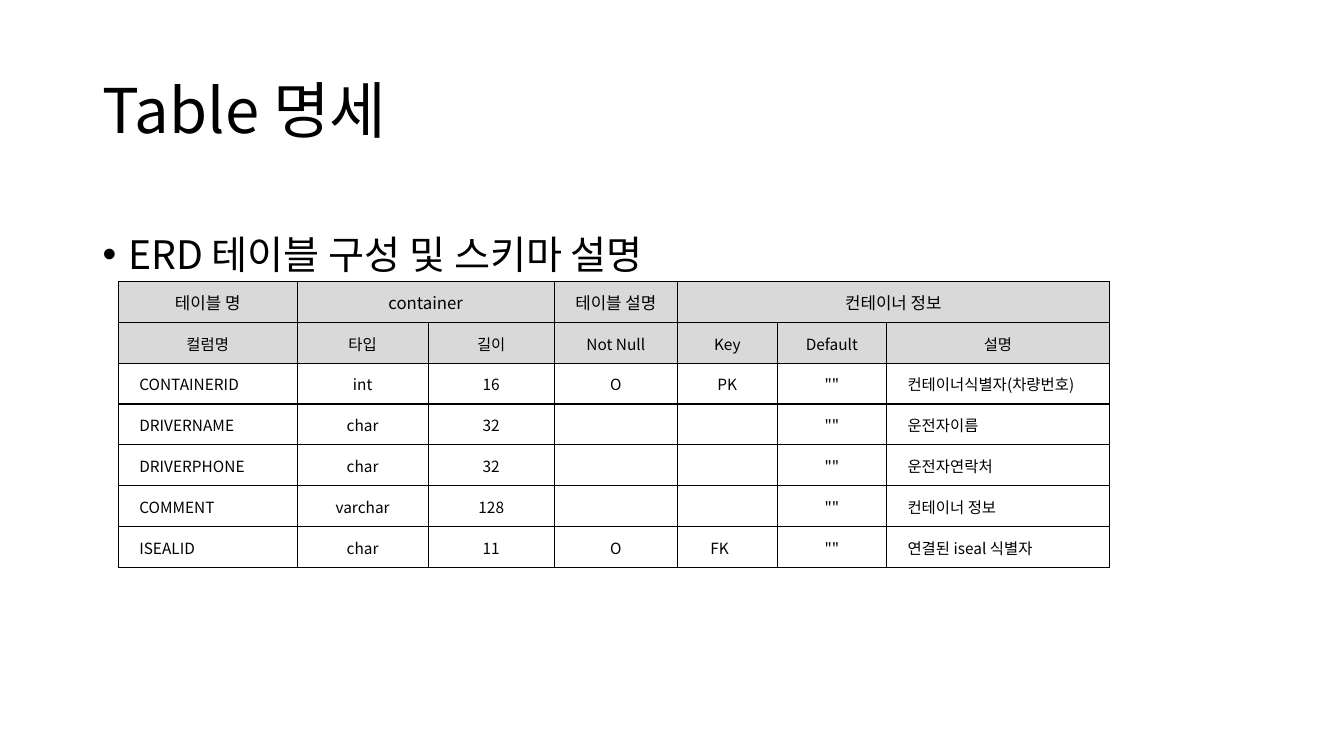
from dataclasses import dataclass

from lxml.etree import SubElement
from pptx import Presentation
from pptx.dml.color import RGBColor
from pptx.enum.text import MSO_ANCHOR, MSO_AUTO_SIZE, PP_ALIGN
from pptx.oxml import parse_xml
from pptx.oxml.ns import nsdecls, qn
from pptx.util import Cm, Pt


@dataclass(frozen=True)
class Theme:
    font: str = "Noto Sans CJK KR"
    ink: str = "000000"
    header: str = "D9D9D9"
    paper: str = "FFFFFF"
    title_size: int = 44
    body_size: int = 28
    table_name_size: int = 12
    cell_size: int = 11
    border_width: int = 1


THEME = Theme()

COLUMN_WIDTHS = (4.51, 3.3, 3.18, 3.1, 2.52, 2.75, 5.62)
ROW_HEIGHT = 1.03
INDENTED_COLUMNS = (0, 6)
HEADER_ROWS = 2
HEADER_SPANS = ((1, 2), (4, 6))
ROWS = (
    ("테이블 명", "container", "", "테이블 설명", "컨테이너 정보", "", ""),
    ("컬럼명", "타입", "길이", "Not Null", "Key", "Default", "설명"),
    ("CONTAINERID", "int", "16", "O", "PK", '""', "컨테이너식별자(차량번호)"),
    ("DRIVERNAME", "char", "32", "", "", '""', "운전자이름"),
    ("DRIVERPHONE", "char", "32", "", "", '""', "운전자연락처"),
    ("COMMENT", "varchar", "128", "", "", '""', "컨테이너 정보"),
    ("ISEALID", "char", "11", "O", "FK", '""', "연결된 iseal 식별자"),
)


def format_runs(paragraph, size):
    for run in paragraph.runs:
        run.font.size = Pt(size)
        run.font.name = THEME.font
        run.font.color.rgb = RGBColor.from_string(THEME.ink)
        east_asian = SubElement(run.font._element, qn("a:ea"))
        east_asian.set("typeface", THEME.font)


def set_title(slide, text):
    title = slide.shapes.title
    title.left, title.top = Cm(2.34), Cm(1.02)
    title.width, title.height = Cm(29.21), Cm(3.68)
    text_frame = title.text_frame
    text_frame.text = text
    text_frame.auto_size = MSO_AUTO_SIZE.NONE
    text_frame.vertical_anchor = MSO_ANCHOR.MIDDLE
    paragraph = text_frame.paragraphs[0]
    paragraph.alignment = PP_ALIGN.LEFT
    paragraph.line_spacing = 0.9
    format_runs(paragraph, THEME.title_size)


def add_bullet(slide, text):
    shape = slide.shapes.add_textbox(Cm(2.34), Cm(5.08), Cm(29.21), Cm(12.09))
    text_frame = shape.text_frame
    text_frame.word_wrap = True
    text_frame.text = text
    paragraph = text_frame.paragraphs[0]
    paragraph.line_spacing = 1.5
    paragraph.space_before = Pt(10)
    format_runs(paragraph, THEME.body_size)
    properties = paragraph._p.get_or_add_pPr()
    properties.set("marL", str(Cm(0.64)))
    properties.set("indent", str(-Cm(0.64)))
    SubElement(properties, qn("a:buFont")).set("typeface", "Arial")
    SubElement(properties, qn("a:buChar")).set("char", "•")


def set_borders(cell):
    properties = cell._tc.get_or_add_tcPr()
    for position, side in enumerate(("lnL", "lnR", "lnT", "lnB")):
        border = parse_xml(
            f'<a:{side} {nsdecls("a")} w="{Pt(THEME.border_width)}">'
            f'<a:solidFill><a:srgbClr val="{THEME.ink}"/></a:solidFill>'
            f"</a:{side}>"
        )
        properties.insert(position, border)


def format_cell(cell, text, row, column):
    is_header = row < HEADER_ROWS
    is_indented = column in INDENTED_COLUMNS and not is_header
    cell.text_frame.text = text
    cell.vertical_anchor = MSO_ANCHOR.MIDDLE
    cell.margin_left = Cm(0.53 if is_indented else 0.03)
    cell.margin_right = Cm(0.42 if text == "FK" else 0.03)
    cell.margin_top, cell.margin_bottom = Cm(0.03), Cm(0)
    cell.fill.solid()
    cell.fill.fore_color.rgb = RGBColor.from_string(
        THEME.header if is_header else THEME.paper
    )
    set_borders(cell)
    paragraph = cell.text_frame.paragraphs[0]
    paragraph.alignment = PP_ALIGN.LEFT if is_indented else PP_ALIGN.CENTER
    format_runs(paragraph, THEME.table_name_size if row == 0 else THEME.cell_size)


def add_schema_table(slide):
    table = slide.shapes.add_table(
        len(ROWS), len(COLUMN_WIDTHS), Cm(2.98), Cm(7.09),
        Cm(sum(COLUMN_WIDTHS)), Cm(ROW_HEIGHT * len(ROWS)),
    ).table
    table.first_row = False
    table.horz_banding = False
    for column, width in zip(table.columns, COLUMN_WIDTHS):
        column.width = Cm(width)
    for row_index, texts in enumerate(ROWS):
        table.rows[row_index].height = Cm(ROW_HEIGHT)
        for column_index, text in enumerate(texts):
            cell = table.cell(row_index, column_index)
            format_cell(cell, text, row_index, column_index)
    for first, last in HEADER_SPANS:
        table.cell(0, first).merge(table.cell(0, last))


def main():
    presentation = Presentation()
    presentation.slide_width = Cm(33.87)
    presentation.slide_height = Cm(19.05)
    slide = presentation.slides.add_slide(presentation.slide_layouts[5])
    set_title(slide, "Table 명세")
    add_bullet(slide, "ERD 테이블 구성 및 스키마 설명")
    add_schema_table(slide)
    presentation.save("out.pptx")


if __name__ == "__main__":
    main()
